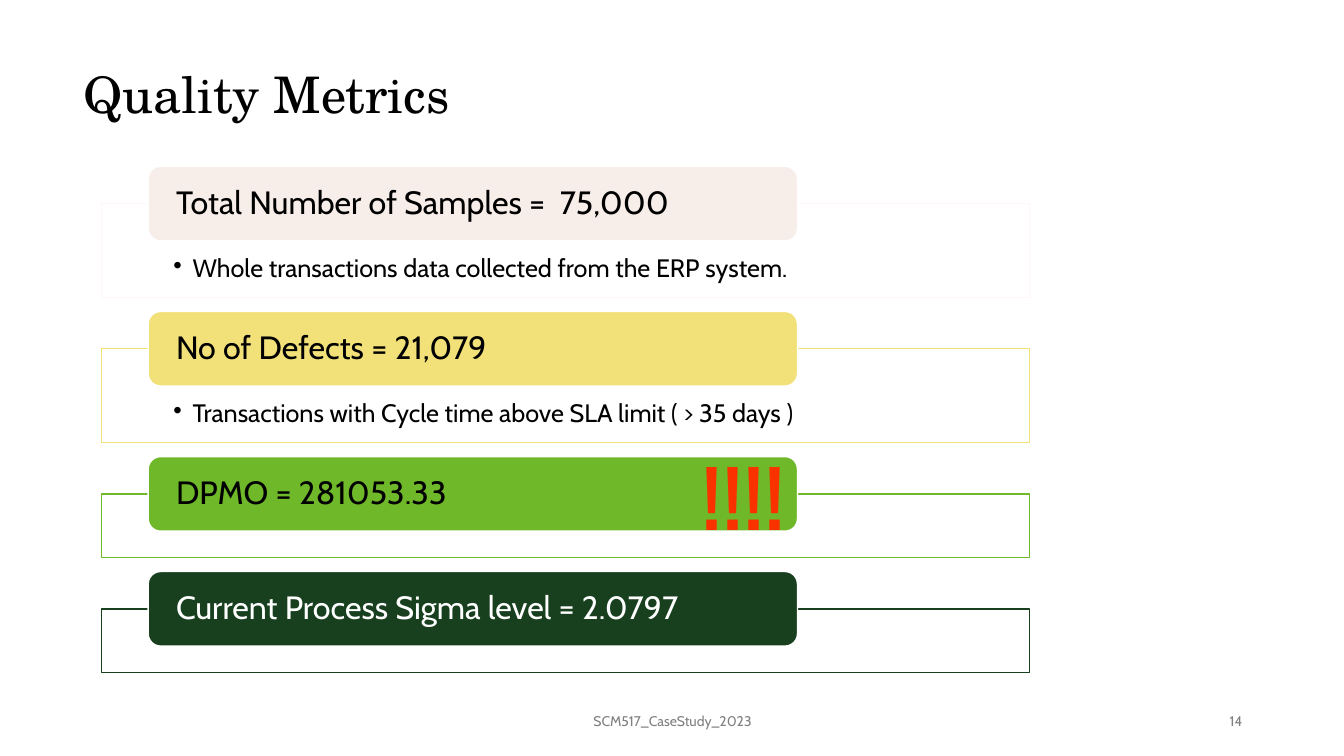
from lxml.etree import SubElement
from pptx import Presentation
from pptx.dml.color import RGBColor
from pptx.enum.shapes import MSO_SHAPE
from pptx.enum.text import MSO_ANCHOR, PP_ALIGN
from pptx.oxml.ns import qn
from pptx.util import Pt

PX = 9144
COLORS = {
    "white": "FFFFFF", "black": "000000", "gray": "808080", "red": "FA3200",
    "blush": "F7EDE9", "pale": "FFF7F5", "yellow": "F2E179",
    "green": "6EB829", "forest": "18401F",
}
BODY = "Cabin"

deck = Presentation()
deck.slide_width, deck.slide_height = 1333 * PX, 750 * PX
slide = deck.slides.add_slide(deck.slide_layouts[6])


def write(shape, text, size, color, insets=(10, 5, 10, 5), anchor=MSO_ANCHOR.MIDDLE,
          align=PP_ALIGN.LEFT, face=BODY, bold=False, bullet=False):
    frame = shape.text_frame
    frame.word_wrap = True
    frame.vertical_anchor = anchor
    (frame.margin_left, frame.margin_top,
     frame.margin_right, frame.margin_bottom) = [n * PX for n in insets]
    line = frame.paragraphs[0]
    line.text = text
    line.alignment = align
    if bullet:
        props = line._p.get_or_add_pPr()
        props.set("marL", str(19 * PX))
        props.set("indent", str(-19 * PX))
        SubElement(props, qn("a:buChar")).set("char", "•")
    font = line.font
    font.name, font.size, font.bold = face, Pt(size), bold
    font.color.rgb = RGBColor.from_string(COLORS[color])
    return line


def block(kind, box, fill, edge):
    shape = slide.shapes.add_shape(kind, *[n * PX for n in box])
    shape.shadow.inherit = False
    shape.fill.solid()
    shape.fill.fore_color.rgb = RGBColor.from_string(COLORS[fill])
    shape.line.color.rgb = RGBColor.from_string(COLORS[edge])
    shape.line.width = Pt(1)
    return shape


title = slide.shapes.add_textbox(73 * PX, 61 * PX, 1150 * PX, 70 * PX)
write(title, "Quality Metrics", 36, "black", face="TeX Gyre Schola").line_spacing = 0.9

metrics = [
    ("Total Number of Samples =  75,000",
     "Whole transactions data collected from the ERP system.", "blush", "pale", "black"),
    ("No of Defects = 21,079",
     "Transactions with Cycle time above SLA limit ( > 35 days )", "yellow", "yellow", "black"),
    ("DPMO = 281053.33", "", "green", "green", "black"),
    ("Current Process Sigma level = 2.0797", "", "forest", "forest", "white"),
]
top = 202
for label, detail, fill, edge, ink in metrics:
    height = 93 if detail else 63
    panel = block(MSO_SHAPE.RECTANGLE, (101, top, 920, height), "white", edge)
    if detail:
        write(panel, detail, 18, "black", (71, 52, 71, 14),
              MSO_ANCHOR.TOP, bullet=True).line_spacing = 0.9
    bar = block(MSO_SHAPE.ROUNDED_RECTANGLE, (147, top - 37, 644, 74), fill, "white")
    write(bar, label, 23, ink, (24, 0, 24, 0)).line_spacing = 0.9
    top += height + 51

alert = slide.shapes.add_textbox(686 * PX, 438 * PX, 120 * PX, 111 * PX)
write(alert, "!!!!", 60, "red", anchor=MSO_ANCHOR.TOP, bold=True)

for text, left, width, align in [
    ("SCM517_CaseStudy_2023", 442, 450, PP_ALIGN.CENTER),
    ("14", 942, 300, PP_ALIGN.RIGHT),
]:
    note = slide.shapes.add_textbox(left * PX, 695 * PX, width * PX, 40 * PX)
    write(note, text, 10, "gray", align=align)

deck.save("out.pptx")
